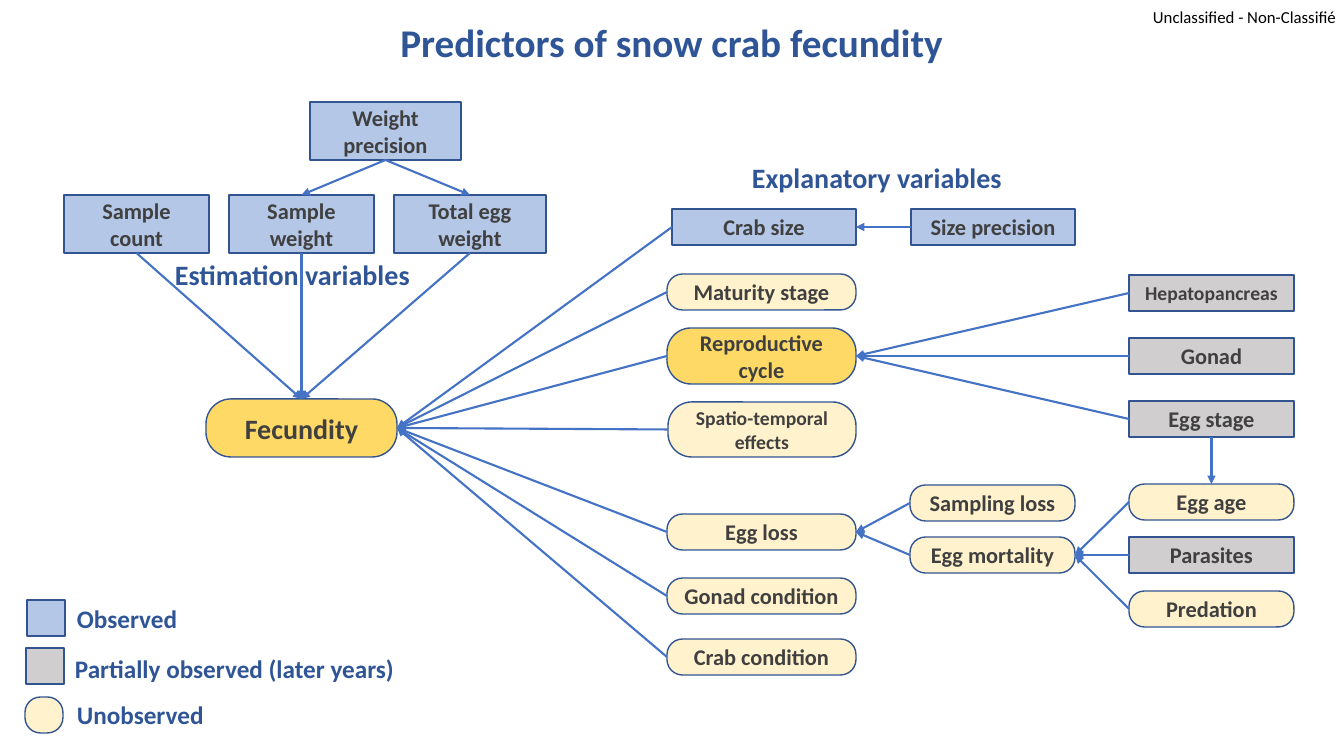
import pptx
import pptx.util
import pptx.dml.color
import pptx.enum.shapes
import pptx.enum.text
from dataclasses import dataclass
from lxml import etree
from pptx.oxml.ns import qn

SHAPE = pptx.enum.shapes.MSO_SHAPE
ALIGN = pptx.enum.text.PP_ALIGN
ANCHOR = pptx.enum.text.MSO_ANCHOR
AUTO = pptx.enum.text.MSO_AUTO_SIZE
TOP, LEFT, BOTTOM, RIGHT = range(4)


@dataclass(frozen=True)
class Theme:
    font: str = "Calibri"
    observed: str = "B4C7E7"
    partial: str = "D0CECE"
    unobserved: str = "FFF2CC"
    target: str = "FFD966"
    outline: str = "325491"
    arrow: str = "4472C4"
    heading: str = "2F5597"
    box_text: str = "404040"
    marking: str = "000000"
    title_size: int = 28
    heading_size: int = 20
    legend_size: int = 18
    box_size: int = 16
    small_size: int = 14
    marking_size: int = 12


def rgb(value):
    return pptx.dml.color.RGBColor.from_string(value)


def px(*lengths):
    """Whole pixels, 1344 across the slide, to EMU."""
    return [pptx.util.Emu(round(n * 914400 / 100.8)) for n in lengths]


class Diagram:
    def __init__(self, prs, theme):
        self.theme = theme
        self.s = prs.slides.add_slide(prs.slide_layouts[6])
        self.shapes = self.s.shapes

    def add_text(self, tf, text, size, color, bold=True, align=ALIGN.LEFT):
        p = tf.paragraphs[0]
        p.alignment = align
        r = p.add_run()
        r.text = text
        look = {"name": self.theme.font, "size": pptx.util.Pt(size), "bold": bold}
        for key, value in look.items():
            setattr(r.font, key, value)
        r.font.color.rgb = rgb(color)

    def box(self, kind, x, y, w, h, text="", size=None):
        """Square corners mean data exist; round corners mean unobserved."""
        rounded = kind in ("unobserved", "target")
        preset = SHAPE.ROUNDED_RECTANGLE if rounded else SHAPE.RECTANGLE
        sp = self.shapes.add_shape(preset, *px(x, y, w, h))
        if rounded:
            sp.adjustments[0] = 0.43
        sp.shadow.inherit = False
        sp.fill.solid()
        sp.fill.fore_color.rgb = rgb(getattr(self.theme, kind))
        sp.line.color.rgb = rgb(self.theme.outline)
        sp.line.width = pptx.util.Pt(1)
        if text:
            tf = sp.text_frame
            tf.word_wrap = True
            tf.vertical_anchor = ANCHOR.MIDDLE
            self.add_text(tf, text, size or self.theme.box_size,
                          self.theme.box_text, align=ALIGN.CENTER)
        return sp

    def label(self, x, y, w, h, text, size, color=None, wrap=True, inset=None, **look):
        tf = self.shapes.add_textbox(*px(x, y, w, h)).text_frame
        frame = {"word_wrap": wrap, "auto_size": AUTO.SHAPE_TO_FIT_TEXT}
        if inset is not None:
            sides = ("left", "top", "right", "bottom")
            frame.update({f"margin_{side}": inset for side in sides})
        for key, value in frame.items():
            setattr(tf, key, value)
        self.add_text(tf, text, size, color or self.theme.heading, **look)

    def arrow(self, start, start_side, end, end_side):
        c = self.shapes.add_connector(
            pptx.enum.shapes.MSO_CONNECTOR.STRAIGHT, 0, 0, 0, 0)
        c.begin_connect(start, start_side)
        c.end_connect(end, end_side)
        c.line.color.rgb = rgb(self.theme.arrow)
        c.line.width = pptx.util.Pt(1.5)
        spPr = c._element.spPr
        etree.SubElement(spPr.find(qn("a:ln")), qn("a:tailEnd"), type="triangle")
        etree.SubElement(spPr, qn("a:effectLst"))

    def legend(self, rows):
        slide_shapes = self.shapes
        self.shapes = slide_shapes.add_group_shape().shapes
        for kind, x, y, text, text_x, text_y, text_w in rows:
            self.box(kind, x, y, 38, 36)
            self.label(text_x, text_y, text_w, 40, text,
                       self.theme.legend_size, wrap=False)
        self.shapes = slide_shapes


def main():
    prs = pptx.Presentation()
    prs.slide_width, prs.slide_height = px(1344, 756)
    theme = Theme()
    d = Diagram(prs, theme)

    small = theme.small_size
    boxes = [
        ("observed", 310, 102, 151, 58, "Weight precision"),
        ("observed", 64, 195, 145, 58, "Sample count"),
        ("observed", 229, 195, 145, 58, "Sample weight"),
        ("observed", 394, 195, 152, 58, "Total egg weight"),
        ("target", 206, 399, 191, 58, "Fecundity", theme.heading_size),
        ("observed", 672, 209, 184, 36, "Crab size"),
        ("unobserved", 667, 274, 189, 36, "Maturity stage"),
        ("target", 667, 328, 189, 56, "Reproductive cycle"),
        ("unobserved", 668, 402, 188, 55, "Spatio-temporal effects", small),
        ("unobserved", 667, 514, 189, 36, "Egg loss"),
        ("unobserved", 667, 578, 189, 36, "Gonad condition"),
        ("unobserved", 667, 639, 189, 36, "Crab condition"),
        ("observed", 911, 209, 164, 36, "Size precision"),
        ("unobserved", 910, 485, 165, 36, "Sampling loss"),
        ("unobserved", 910, 537, 165, 36, "Egg mortality"),
        ("partial", 1129, 275, 165, 36, "Hepatopancreas", small),
        ("partial", 1129, 338, 165, 36, "Gonad"),
        ("partial", 1129, 401, 165, 36, "Egg stage"),
        ("unobserved", 1129, 484, 165, 36, "Egg age"),
        ("partial", 1129, 537, 165, 36, "Parasites"),
        ("unobserved", 1129, 591, 165, 36, "Predation"),
    ]
    node = {box[5]: d.box(*box) for box in boxes}

    # Causes, side they leave from, effect, side they reach
    links = [
        (["Weight precision"], BOTTOM, "Sample weight", TOP),
        (["Weight precision"], BOTTOM, "Total egg weight", TOP),
        (["Sample count", "Sample weight", "Total egg weight"],
         BOTTOM, "Fecundity", TOP),
        (["Crab size", "Maturity stage", "Reproductive cycle",
          "Spatio-temporal effects", "Egg loss", "Gonad condition",
          "Crab condition"], LEFT, "Fecundity", RIGHT),
        (["Size precision"], LEFT, "Crab size", RIGHT),
        (["Hepatopancreas", "Gonad", "Egg stage"],
         LEFT, "Reproductive cycle", RIGHT),
        (["Egg stage"], BOTTOM, "Egg age", TOP),
        (["Sampling loss", "Egg mortality"], LEFT, "Egg loss", RIGHT),
        (["Egg age", "Parasites", "Predation"], LEFT, "Egg mortality", RIGHT),
    ]
    for causes, leave, effect, reach in links:
        for cause in causes:
            d.arrow(node[cause], leave, node[effect], reach)

    d.legend([
        ("observed", 27, 600, "Observed", 67, 598, 121),
        ("partial", 26, 648, "Partially observed (later years)", 65, 648, 342),
        ("unobserved", 25, 697, "Unobserved", 67, 694, 148),
    ])
    d.label(296, 13, 751, 57, "Predictors of snow crab fecundity",
            theme.title_size, align=ALIGN.CENTER)
    d.label(742, 156, 300, 44, "Explanatory variables", theme.heading_size)
    d.label(165, 253, 300, 44, "Estimation variables", theme.heading_size)
    d.label(1153, 7, 187, 20, "Unclassified - Non-Classifié",
            theme.marking_size, theme.marking, inset=0, bold=False)
    prs.save("out.pptx")


if __name__ == "__main__":
    main()
